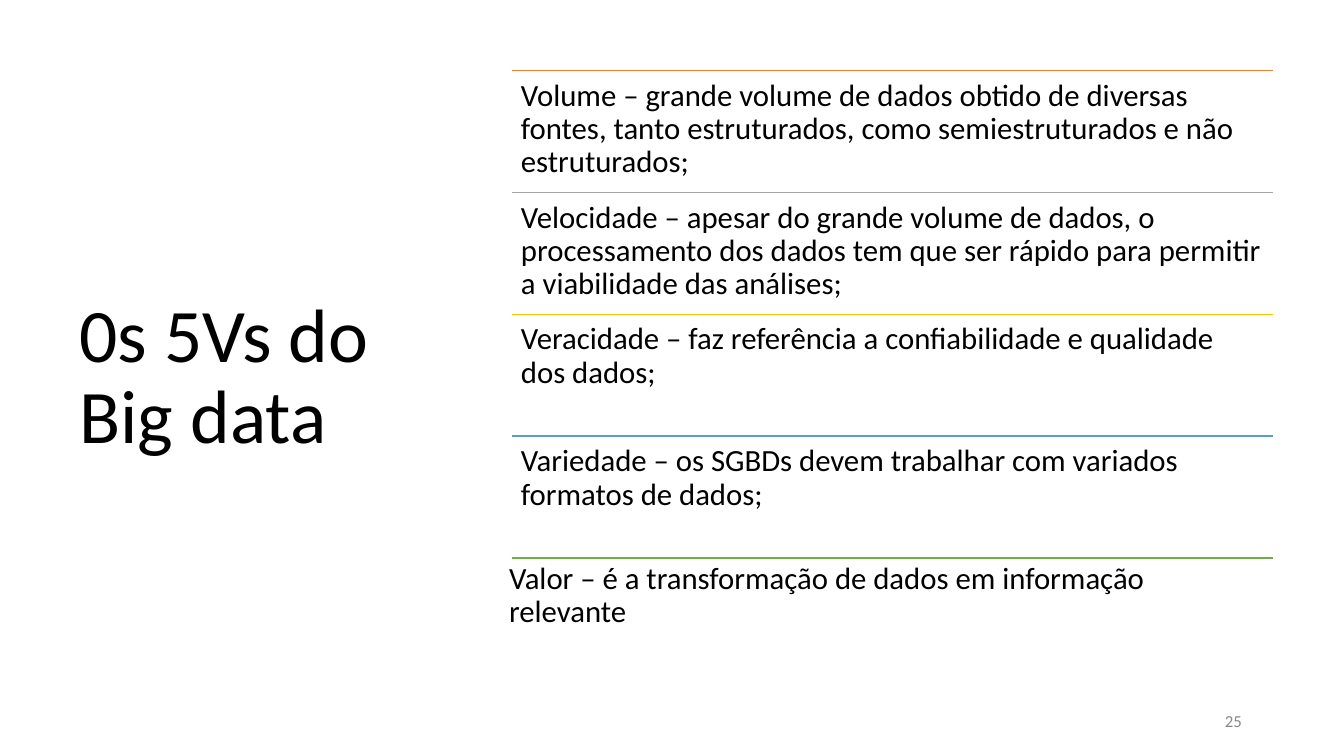
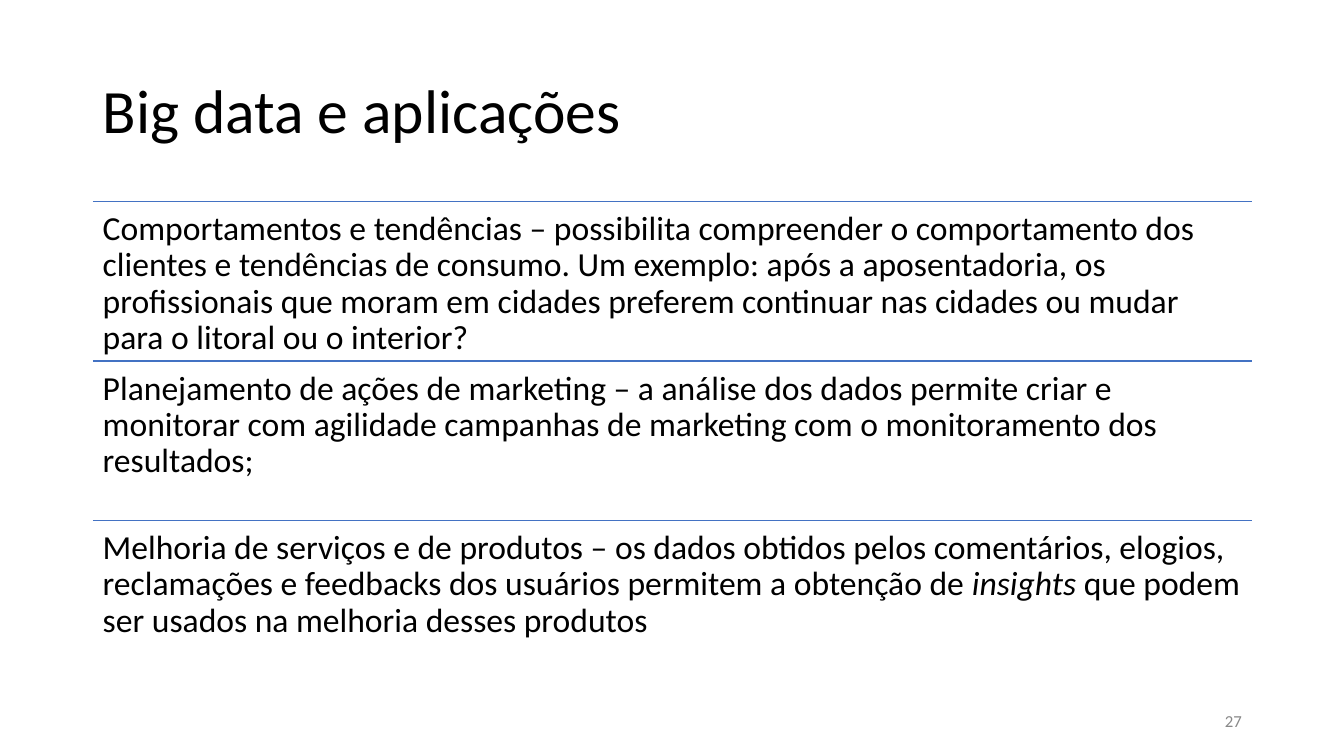
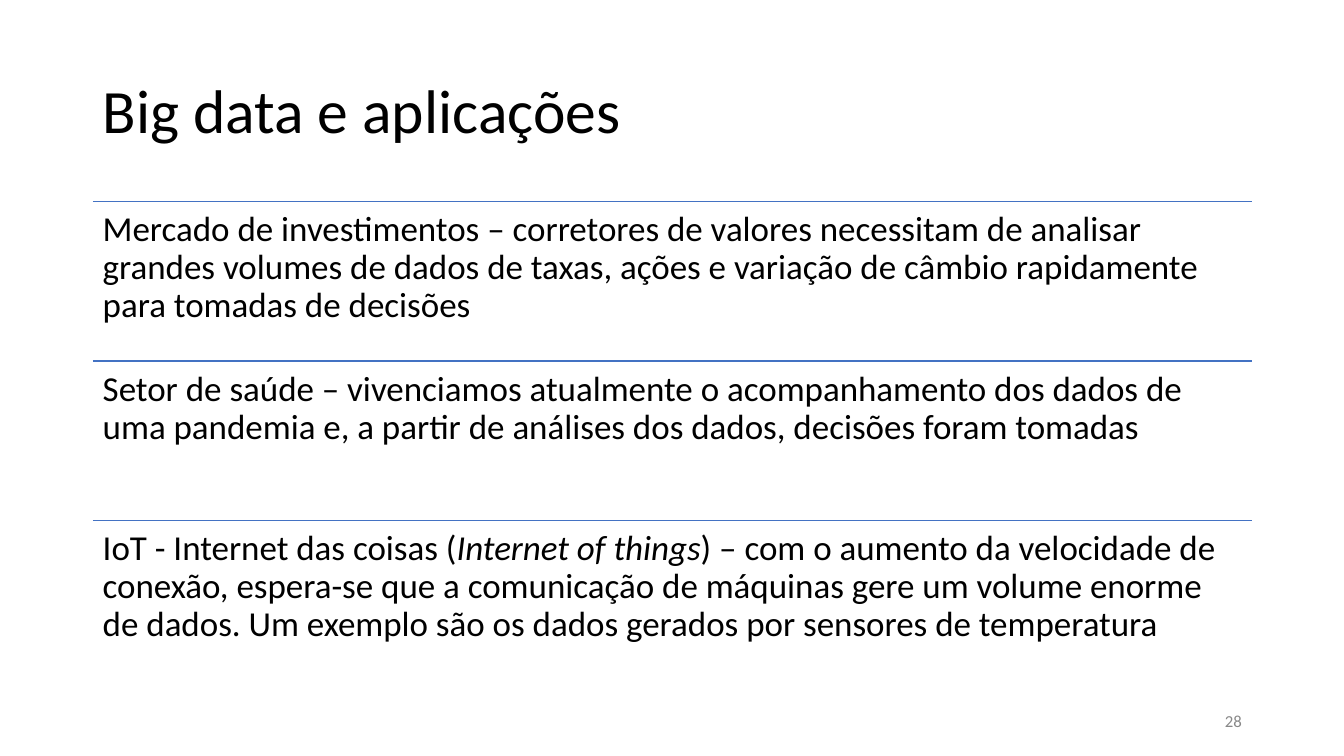
import pptx
import pptx.dml.color
import pptx.enum.shapes
import pptx.enum.text
import pptx.oxml.ns
import pptx.util
import lxml.etree

Cm = pptx.util.Cm
Pt = pptx.util.Pt
RGB = pptx.dml.color.RGBColor
Align = pptx.enum.text.PP_ALIGN
Anchor = pptx.enum.text.MSO_ANCHOR

FONT = "Calibri"
BLACK = RGB(0x00, 0x00, 0x00)
GREY = RGB(0x88, 0x88, 0x88)
BLUE = RGB(0x43, 0x72, 0xC3)
RAINBOW = [
    RGB(0xED, 0x7D, 0x31),
    RGB(0xA5, 0xA5, 0xA5),
    RGB(0xFF, 0xC0, 0x00),
    RGB(0x59, 0x9B, 0xD5),
    RGB(0x70, 0xAD, 0x47),
]


def fill(shape, text, size, color=BLACK, anchor=Anchor.TOP, align=Align.LEFT,
         space=0.9, inset=None):
    """Put one paragraph into a shape; words between asterisks turn italic."""
    frame = shape.text_frame
    frame.word_wrap = True
    frame.auto_size = pptx.enum.text.MSO_AUTO_SIZE.NONE
    frame.vertical_anchor = anchor
    if inset is not None:
        frame.margin_left = frame.margin_right = Cm(inset)
        frame.margin_top = frame.margin_bottom = Cm(inset)
    para = frame.paragraphs[0]
    para.alignment = align
    para.line_spacing = space
    for i, part in enumerate(text.split("*")):
        run = para.add_run()
        run.text = part
        run.font.name = FONT
        run.font.size = Pt(size)
        run.font.color.rgb = color
        run.font.italic = i % 2 == 1


def rule(slide, left, top, width, color):
    line = slide.shapes.add_connector(
        pptx.enum.shapes.MSO_CONNECTOR.STRAIGHT,
        Cm(left), Cm(top), Cm(left + width), Cm(top))
    line.line.color.rgb = color
    line.line.width = Pt(1)
    lxml.etree.SubElement(line._element.spPr, pptx.oxml.ns.qn("a:effectLst"))


# Each list: left, top, width, row height, inset (cm)
SIDE = dict(title=(1.75, 1.78, 9.5, 15.52), head=54,
            rows=(12.9, 1.78, 19.18, 3.07, 0.23), colors=RAINBOW)
WIDE = dict(title=(2.34, 1.02, 29.21, 3.68), head=44,
            rows=(2.34, 5.08, 29.21, 4.02, 0.25), colors=[BLUE] * 3)

PAGES = [
    ("25", SIDE, "0s 5Vs do Big data", 22, [
        "Volume – grande volume de dados obtido de diversas fontes, tanto "
        "estruturados, como semiestruturados e não estruturados;",
        "Velocidade – apesar do grande volume de dados, o processamento dos "
        "dados tem que ser rápido para permitir a viabilidade das análises;",
        "Veracidade – faz referência a confiabilidade e qualidade dos dados;",
        "Variedade – os SGBDs devem trabalhar com variados formatos de dados;",
        "Valor – é a transformação de dados em informação relevante",
    ]),
    ("27", WIDE, "Big data e aplicações", 24, [
        "Comportamentos e tendências – possibilita compreender o "
        "comportamento dos clientes e tendências de consumo. Um exemplo: "
        "após a aposentadoria, os profissionais que moram em cidades "
        "preferem continuar nas cidades ou mudar para o litoral ou o "
        "interior?",
        "Planejamento de ações de marketing – a análise dos dados permite "
        "criar e monitorar com agilidade campanhas de marketing com o "
        "monitoramento dos resultados;",
        "Melhoria de serviços e de produtos – os dados obtidos pelos "
        "comentários, elogios, reclamações e feedbacks dos usuários permitem "
        "a obtenção de *insights* que podem ser usados na melhoria desses "
        "produtos",
    ]),
    ("28", WIDE, "Big data e aplicações", 25, [
        "Mercado de investimentos – corretores de valores necessitam de "
        "analisar grandes volumes de dados de taxas, ações e variação de "
        "câmbio rapidamente para tomadas de decisões",
        "Setor de saúde – vivenciamos atualmente o acompanhamento dos dados "
        "de uma pandemia e, a partir de análises dos dados, decisões foram "
        "tomadas",
        "IoT - Internet das coisas (*Internet of things*) – com o aumento da "
        "velocidade de conexão, espera-se que a comunicação de máquinas gere "
        "um volume enorme de dados. Um exemplo são os dados gerados por "
        "sensores de temperatura",
    ]),
]

deck = pptx.Presentation()
deck.slide_width = Cm(33.87)
deck.slide_height = Cm(19.05)

for number, style, head, size, items in PAGES:
    slide = deck.slides.add_slide(deck.slide_layouts[5])
    title = slide.shapes.title
    title.left, title.top, title.width, title.height = map(Cm, style["title"])
    fill(title, head, style["head"], anchor=Anchor.MIDDLE)

    left, top, width, pitch, inset = style["rows"]
    for i, (item, color) in enumerate(zip(items, style["colors"])):
        y = top + i * pitch
        rule(slide, left, y, width, color)
        # The "Valor" row sits slightly up and to the left of its rule
        dx, dy = (0.3, 0.1) if item.startswith("Valor") else (0, 0)
        box = slide.shapes.add_textbox(
            Cm(left - dx), Cm(y - dy), Cm(width), Cm(pitch))
        fill(box, item, size, inset=inset)

    foot = slide.shapes.add_textbox(Cm(23.93), Cm(17.65), Cm(7.62), Cm(1.02))
    fill(foot, number, 12, GREY, Anchor.MIDDLE, Align.RIGHT, 1.0)

deck.save("out.pptx")
